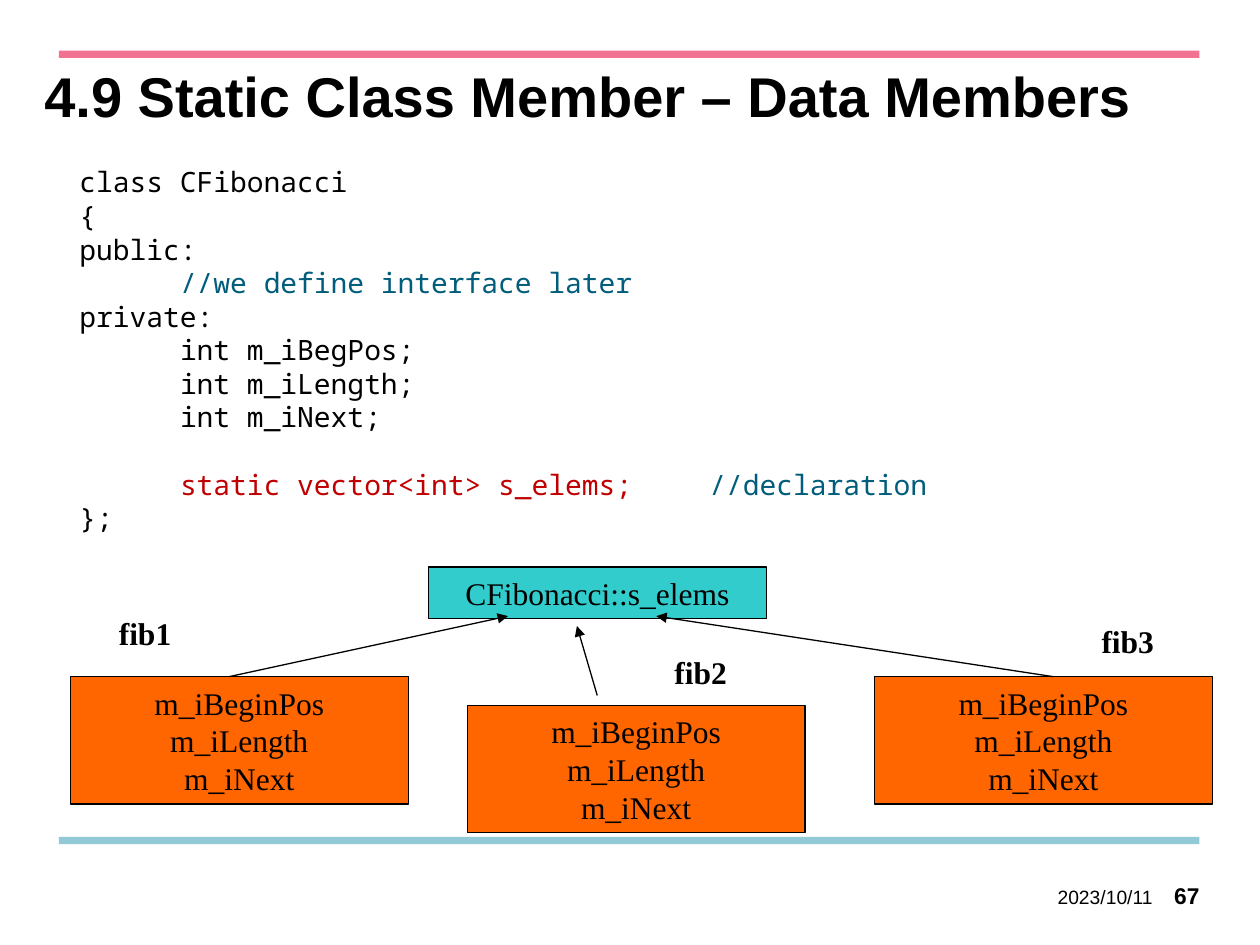
"""Build the slide on static data members of a class."""
from dataclasses import dataclass

from lxml import etree
from pptx import Presentation, util as u
from pptx.dml.color import RGBColor
from pptx.enum import shapes, text
from pptx.oxml.ns import qn


@dataclass(frozen=True)
class Theme:
    ink: str = "000000"
    note: str = "005D7B"
    key: str = "C00000"
    pink: str = "F17391"
    blue: str = "92C9D7"
    teal: str = "33CCCC"
    fire: str = "FF6600"
    sans: str = "Arial"
    mono: str = "Noto Sans Mono"
    serif: str = "Times New Roman"
    head: float = 32
    code: float = 16
    label: float = 18
    page: float = 13
    date: float = 11


look = Theme()
Cm, Pt = u.Cm, u.Pt
left, mid, right = text.PP_ALIGN.LEFT, text.PP_ALIGN.CENTER, text.PP_ALIGN.RIGHT


def write(frame, lines, font, size, align=left, bold=False, anchor=text.MSO_ANCHOR.TOP):
    """Fill a frame with lines, each a list of (words, colour) runs."""
    frame.word_wrap = True
    frame.auto_size = text.MSO_AUTO_SIZE.NONE
    frame.vertical_anchor = anchor
    for i, line in enumerate(lines):
        para = frame.paragraphs[0] if i == 0 else frame.add_paragraph()
        para.alignment = align
        for words, tint in line:
            run = para.add_run()
            run.text = words
            run.font.name, run.font.size, run.font.bold = font, Pt(size), bold
            run.font.color.rgb = RGBColor.from_string(tint)


def block(slide, spot, fill, edge=None):
    """Add a flat rectangle."""
    rect = slide.shapes.add_shape(shapes.MSO_SHAPE.RECTANGLE, *map(Cm, spot))
    rect.shadow.inherit = False
    rect.fill.solid()
    rect.fill.fore_color.rgb = RGBColor.from_string(fill)
    if edge:
        rect.line.color.rgb = RGBColor.from_string(edge)
        rect.line.width = Pt(0.75)
    else:
        rect.line.fill.background()
    return rect


deck = Presentation()
deck.slide_width, deck.slide_height = Cm(25.4), Cm(19.05)
slide = deck.slides.add_slide(deck.slide_layouts[5])

for top, fill in ((16.87, look.blue), (1.02, look.pink)):
    block(slide, (1.19, top, 22.99, 0.15), fill)

title = slide.shapes.title
title.left, title.top, title.width, title.height = map(Cm, (0.64, 1.27, 23.47, 3.18))
write(title.text_frame, [[("4.9 Static Class Member – Data Members", look.ink)]],
      look.sans, look.head, bold=True)
title.text_frame.paragraphs[0].line_spacing = Pt(34)

code = [
    [("class CFibonacci", look.ink)],
    [("{", look.ink)],
    [("public:", look.ink)],
    [("\t", look.ink), ("//we define interface later", look.note)],
    [("private:", look.ink)],
    [("\tint m_iBegPos;", look.ink)],
    [("\tint m_iLength;", look.ink)],
    [("\tint m_iNext;", look.ink)],
    [("\t", look.ink), ("static vector<int> s_elems;\t", look.key), ("//declaration", look.note)],
    [("};", look.ink)],
]
pitch = Pt(19.2)
frame = slide.shapes.add_textbox(*map(Cm, (1.35, 3.2, 22.86, 7.77))).text_frame
write(frame, code, look.mono, look.code)
frame.paragraphs[8].space_before = pitch
for para in frame.paragraphs:
    para.line_spacing = pitch
    tabs = etree.SubElement(para._p.get_or_add_pPr(), qn("a:tabLst"))
    for stop in (2.03, 12.7):
        etree.SubElement(tabs, qn("a:tab"), pos=str(int(Cm(stop))), algn="l")

middle = text.MSO_ANCHOR.MIDDLE
shared = block(slide, (8.64, 11.43, 6.81, 1.04), look.teal, look.ink)
write(shared.text_frame, [[("CFibonacci::s_elems", look.ink)]],
      look.serif, look.label, mid, anchor=middle)

fields = [[(name, look.ink)] for name in ("m_iBeginPos", "m_iLength", "m_iNext")]
items = (
    ("fib1", (1.42, 13.64), (1.63, 12.24), (4.62, 13.64, 10.24, 12.42)),
    ("fib2", (9.42, 14.22), (12.83, 13.03), (12.04, 14.02, 11.63, 12.62)),
    ("fib3", (17.63, 13.64), (21.44, 12.42), (21.23, 13.64, 13.23, 12.42)),
)
for name, spot, tag, ends in items:
    rect = block(slide, (*spot, 6.81, 2.57), look.fire, look.ink)
    write(rect.text_frame, fields, look.serif, look.label, mid, anchor=middle)
    label = slide.shapes.add_textbox(*map(Cm, (*tag, 2.59, 1.02)))
    write(label.text_frame, [[(name, look.ink)]], look.serif, look.label, mid, True, middle)
    arrow = slide.shapes.add_connector(shapes.MSO_CONNECTOR.STRAIGHT, *map(Cm, ends))
    arrow.line.color.rgb = RGBColor.from_string(look.ink)
    arrow.line.width = Pt(0.75)
    etree.SubElement(arrow.line._get_or_add_ln(), qn("a:tailEnd"), type="triangle")
    etree.SubElement(arrow._element.spPr, qn("a:effectLst"))

feet = (
    ("67", 23.19, 0.99, look.page, True, text.MSO_ANCHOR.TOP, 0.05),
    ("2023/10/11", 20.8, 2.44, look.date, False, middle, 0),
)
for words, x, wide, size, bold, anchor, inset in feet:
    frame = slide.shapes.add_textbox(*map(Cm, (x, 17.73, wide, 0.69))).text_frame
    frame.margin_left = frame.margin_right = frame.margin_bottom = 0
    frame.margin_top = Cm(inset)
    write(frame, [[(words, look.ink)]], look.sans, size, right, bold, anchor)

deck.save("out.pptx")
